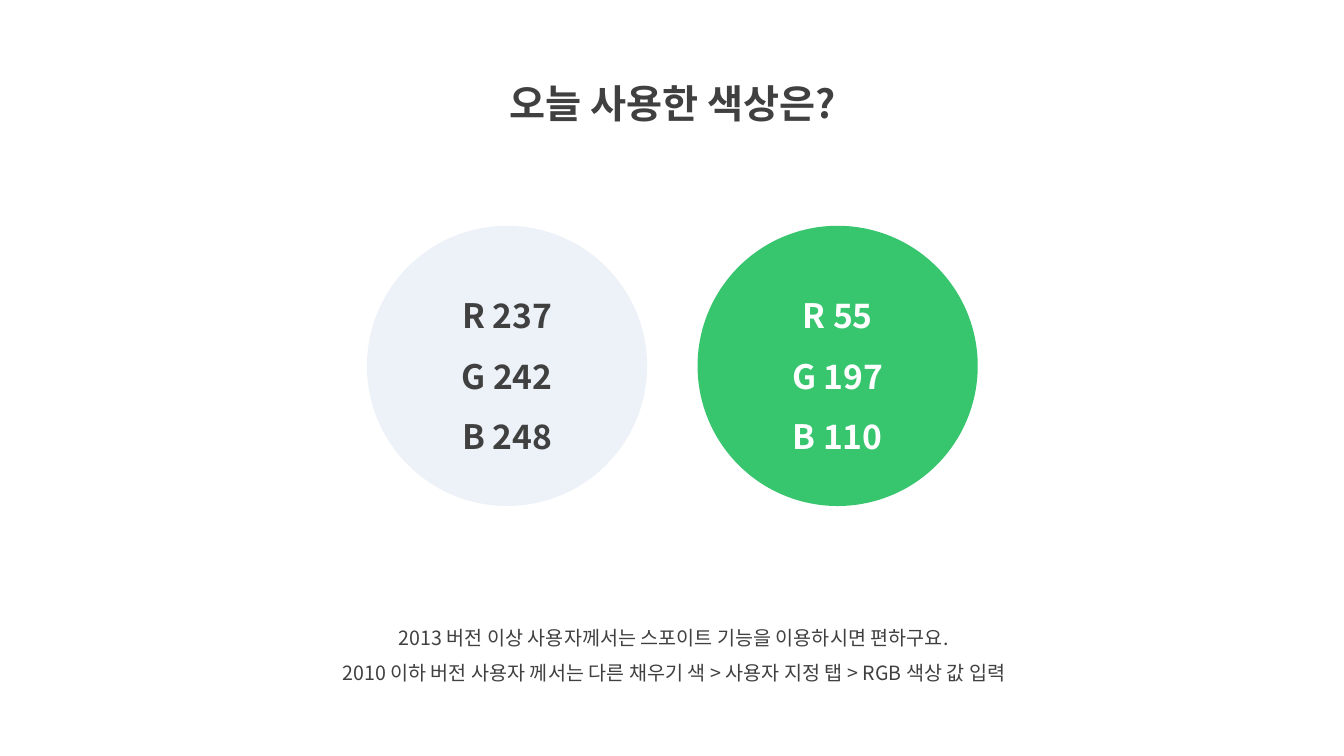
from dataclasses import dataclass

from lxml import etree
from pptx import Presentation
from pptx import util as u
from pptx.dml.color import RGBColor
from pptx.enum import shapes, text
from pptx.oxml import ns
from pptx.shapes.autoshape import Shape
from pptx.slide import Slide

FONT = "Noto Sans CJK KR"
DARK = RGBColor(0x40, 0x40, 0x40)
WHITE = RGBColor(0xFF, 0xFF, 0xFF)
PALE_BLUE = RGBColor(237, 242, 248)
GREEN = RGBColor(55, 197, 110)

CIRCLE_TOP = 161.28
CIRCLE_SIZE = 200.16


@dataclass(frozen=True)
class Swatch:
    left: float
    fill: RGBColor
    ink: RGBColor


@dataclass(frozen=True)
class Caption:
    left: float
    top: float
    width: float
    height: float
    lines: tuple[str, ...]
    size: float
    bold: bool


SWATCHES = (
    Swatch(498.24, GREEN, WHITE),
    Swatch(262.08, PALE_BLUE, DARK),
)
CAPTIONS = (
    Caption(313.92, 36, 333.36, 51.84, ("오늘 사용한 색상은?",), 28, True),
    Caption(193.68, 434.88, 575.28, 58.32, (
        "2013 버전 이상 사용자께서는 스포이트 기능을 이용하시면 편하구요.",
        "2010 이하 버전 사용자 께서는 다른 채우기 색 > 사용자 지정 탭 > RGB 색상 값 입력",
    ), 14, False),
)


def write(sp: Shape, lines: tuple[str, ...], *, size: float, color: RGBColor,
          bold: bool = False, anchor: text.MSO_ANCHOR = text.MSO_ANCHOR.TOP) -> None:
    """Fill a shape with centred lines, one paragraph each."""
    tf = sp.text_frame
    tf.word_wrap = True
    tf.vertical_anchor = anchor
    for i, line in enumerate(lines):
        p = tf.add_paragraph() if i else tf.paragraphs[0]
        p.alignment = text.PP_ALIGN.CENTER
        p.line_spacing = 1.5
        r = p.add_run()
        r.text = line
        r.font.size = u.Pt(size)
        r.font.bold = bold
        r.font.color.rgb = color
        r.font.name = FONT
        # Hangul takes its typeface from the East Asian font slot.
        etree.SubElement(r._r.get_or_add_rPr(), ns.qn("a:ea"), typeface=FONT)


def add_caption(s: Slide, caption: Caption) -> None:
    sp = s.shapes.add_textbox(u.Pt(caption.left), u.Pt(caption.top),
                              u.Pt(caption.width), u.Pt(caption.height))
    write(sp, caption.lines, size=caption.size, color=DARK, bold=caption.bold)
    sp.text_frame.auto_size = text.MSO_AUTO_SIZE.SHAPE_TO_FIT_TEXT


def add_swatch(s: Slide, swatch: Swatch) -> None:
    """Draw a circle labelled with the RGB values of its own fill."""
    sp = s.shapes.add_shape(shapes.MSO_SHAPE.OVAL, u.Pt(swatch.left), u.Pt(CIRCLE_TOP),
                            u.Pt(CIRCLE_SIZE), u.Pt(CIRCLE_SIZE))
    sp.shadow.inherit = False
    sp.fill.solid()
    sp.fill.fore_color.rgb = swatch.fill
    sp.line.fill.background()
    labels = tuple(f"{channel} {value}" for channel, value in zip("RGB", swatch.fill))
    write(sp, labels, size=24, color=swatch.ink, bold=True,
          anchor=text.MSO_ANCHOR.MIDDLE)


def main() -> None:
    prs = Presentation()
    prs.slide_width, prs.slide_height = u.Pt(960), u.Pt(540)
    s = prs.slides.add_slide(prs.slide_layouts[6])
    for caption in CAPTIONS:
        add_caption(s, caption)
    for swatch in SWATCHES:
        add_swatch(s, swatch)
    prs.save("out.pptx")


if __name__ == "__main__":
    main()
